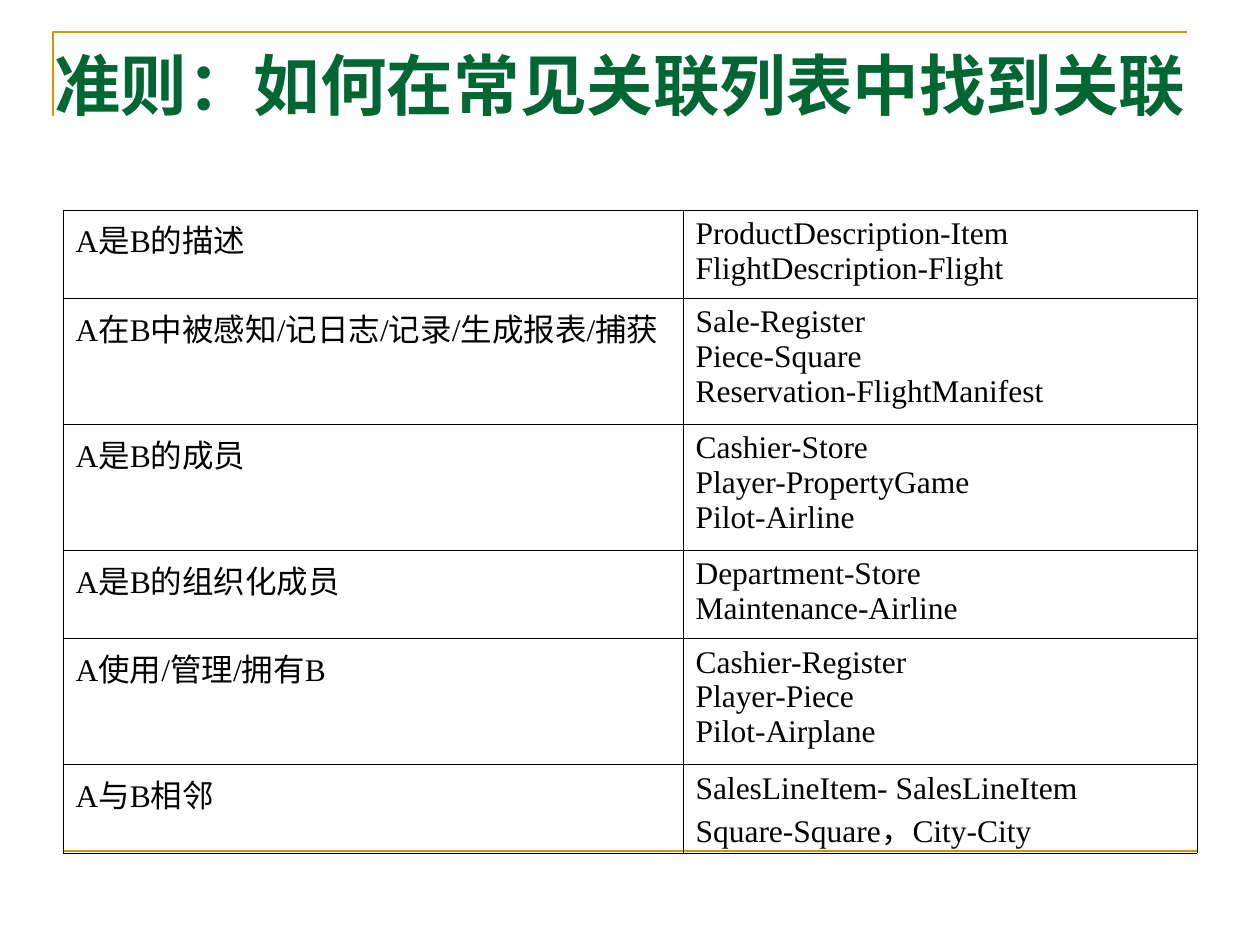
from lxml import etree
from pptx import Presentation, util as u
from pptx.dml.color import RGBColor
from pptx.enum import lang, shapes, text
from pptx.oxml import ns

PX = 914400 / 126
COLORS = {"gold": "CC9900", "green": "006633", "black": "000000"}
FONT = "Times New Roman"

TITLE = "准则：如何在常见关联列表中找到关联"
ASSOCIATIONS = [
    ("A是B的描述", "ProductDescription-Item\nFlightDescription-Flight"),
    ("A在B中被感知/记日志/记录/生成报表/捕获",
     "Sale-Register\nPiece-Square\nReservation-FlightManifest"),
    ("A是B的成员", "Cashier-Store\nPlayer-PropertyGame\nPilot-Airline"),
    ("A是B的组织化成员", "Department-Store\nMaintenance-Airline"),
    ("A使用/管理/拥有B", "Cashier-Register\nPlayer-Piece\nPilot-Airplane"),
    ("A与B相邻", "SalesLineItem- SalesLineItem\nSquare-Square，City-City"),
]
COLUMN_WIDTHS = (620, 514)
ROW_HEIGHTS = {2: 88, 3: 126}  # by number of lines in the right column


def px(n):
    return u.Emu(round(n * PX))


def rgb(name):
    return RGBColor.from_string(COLORS[name])


def write(tf, content, size=18, color="black", bold=False):
    """Fill a text frame, one paragraph for each line of content."""
    for i, line in enumerate(content.split("\n")):
        p = tf.add_paragraph() if i else tf.paragraphs[0]
        r = p.add_run()
        r.text = line
        r.font.name, r.font.size, r.font.bold = FONT, u.Pt(size), bold
        r.font.color.rgb = rgb(color)
        r.font.language_id = lang.MSO_LANGUAGE_ID.SIMPLIFIED_CHINESE


class SlideBuilder:
    def __init__(self, prs, line_color="gold", line_width=1.5):
        self.s = prs.slides.add_slide(prs.slide_layouts[6])
        self.line_color, self.line_width = line_color, line_width

    def stroke(self, sp):
        sp.line.color.rgb = rgb(self.line_color)
        sp.line.width = u.Pt(self.line_width)

    def outline(self, points):
        fb = self.s.shapes.build_freeform(*points[0], scale=PX)
        fb.add_line_segments(points[1:], close=False)
        sp = fb.convert_to_shape()
        sp.shadow.inherit = False
        sp.fill.background()
        self.stroke(sp)

    def line(self, x1, y1, x2, y2):
        sp = self.s.shapes.add_connector(
            shapes.MSO_CONNECTOR.STRAIGHT, px(x1), px(y1), px(x2), px(y2))
        self.stroke(sp)
        etree.SubElement(sp._element.spPr, ns.qn("a:effectLst"))

    def textbox(self, x, y, w, h, content, **fmt):
        tf = self.s.shapes.add_textbox(px(x), px(y), px(w), px(h)).text_frame
        tf.word_wrap = True
        tf.vertical_anchor = text.MSO_ANCHOR.TOP
        write(tf, content, **fmt)

    def cell_border(self, cell, color="black", width=0.45):
        tc_pr = cell._tc.get_or_add_tcPr()
        for side in "LRTB":
            ln = etree.SubElement(tc_pr, ns.qn(f"a:ln{side}"), w=str(u.Pt(width)))
            fill = etree.SubElement(ln, ns.qn("a:solidFill"))
            etree.SubElement(fill, ns.qn("a:srgbClr"), val=COLORS[color])

    def table(self, x, y, widths, heights, rows):
        tbl = self.s.shapes.add_table(
            len(rows), len(widths), px(x), px(y), px(sum(widths)), px(sum(heights))).table
        tbl.first_row = tbl.horz_banding = False
        for col, w in zip(tbl.columns, widths):
            col.width = px(w)
        for row, h, contents in zip(tbl.rows, heights, rows):
            row.height = px(h)
            for cell, content in zip(row.cells, contents):
                self.cell_border(cell)
                cell.fill.background()
                write(cell.text_frame, content)


def main():
    prs = Presentation()
    prs.slide_width, prs.slide_height = px(1260), px(945)
    b = SlideBuilder(prs)

    # Corner rule and bottom rule
    b.outline([(53, 116), (53, 32), (1187, 32)])
    b.line(63, 851, 1197, 851)

    # Title
    b.textbox(42, 38, 1187, 158, TITLE, size=38, color="green", bold=True)

    # Association table
    heights = [ROW_HEIGHTS[len(right.split("\n"))] for _, right in ASSOCIATIONS]
    b.table(63, 210, COLUMN_WIDTHS, heights, ASSOCIATIONS)

    prs.save("out.pptx")


if __name__ == "__main__":
    main()
